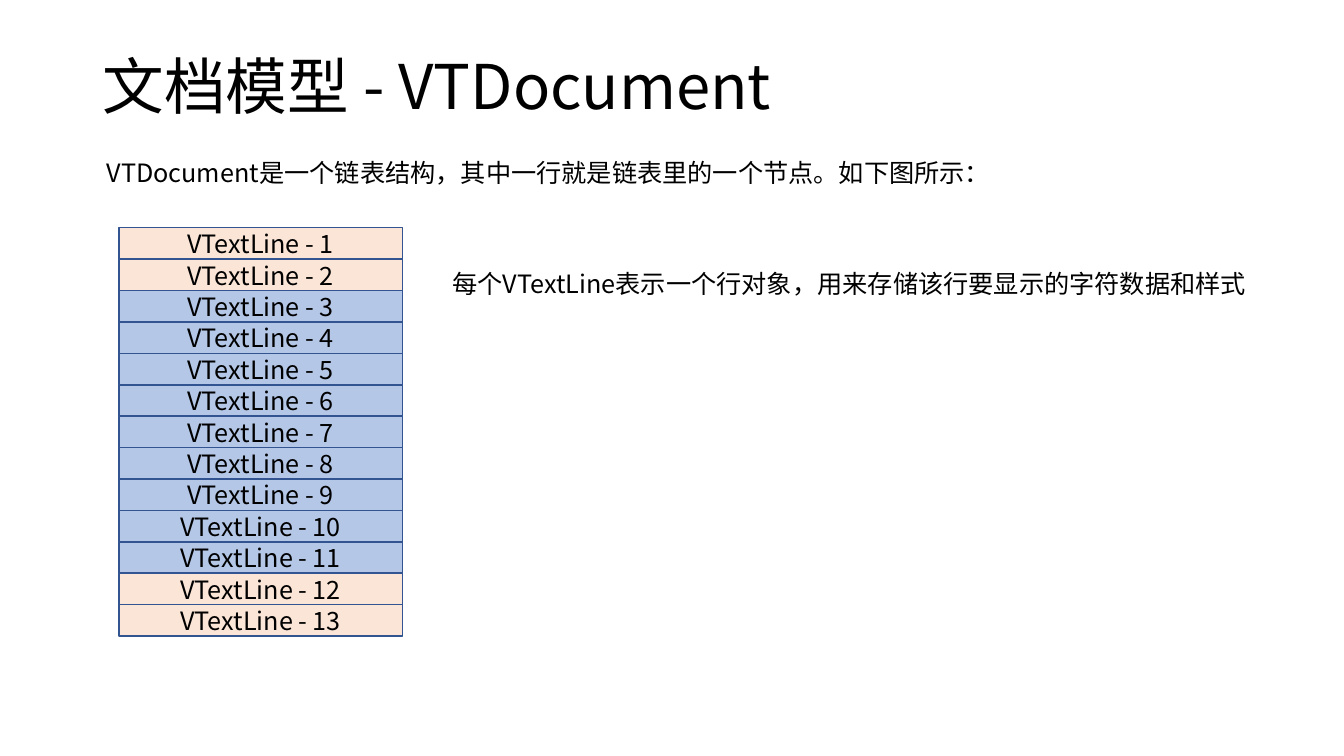
from dataclasses import dataclass

from lxml.etree import SubElement
from pptx import Presentation
from pptx.dml.color import RGBColor
from pptx.enum.shapes import MSO_SHAPE as Preset
from pptx.enum.text import MSO_ANCHOR as Anchor, MSO_AUTO_SIZE as AutoSize, PP_ALIGN as Align
from pptx.oxml.ns import qn
from pptx.util import Inches, Pt


@dataclass(frozen=True)
class Theme:
    font: str = "Noto Sans CJK SC"
    ink: str = "000000"
    outline: str = "325491"
    visible_line: str = "B4C7E7"
    hidden_line: str = "FBE5D6"
    title_size: int = 44
    body_size: int = 18
    outline_width: int = 1


THEME = Theme()
SLIDE_WIDTH, SLIDE_HEIGHT = Inches(13.33), Inches(7.5)

LINE_COUNT = 13
VISIBLE_LINES = range(3, 12)
STACK_LEFT, STACK_TOP = Inches(1.18), Inches(2.26)
STACK_WIDTH, STACK_HEIGHT = Inches(2.81), Inches(4.05)


def apply_format(target, values):
    for attribute, value in values.items():
        setattr(target, attribute, value)


def write_text(shape, text, size, frame_format, paragraph_format):
    """Fill the shape with one paragraph, using the theme font for Latin and CJK."""
    apply_format(shape.text_frame, frame_format)
    paragraph = shape.text_frame.paragraphs[0]
    apply_format(paragraph, paragraph_format)
    run = paragraph.add_run()
    run.text = text
    apply_format(run.font, {"size": Pt(size), "name": THEME.font})
    run.font.color.rgb = RGBColor.from_string(THEME.ink)
    SubElement(run.font._element, qn("a:ea"), typeface=THEME.font)


def add_title(slide, text):
    title = slide.shapes.add_textbox(Inches(0.92), Inches(0.16), Inches(11.5), Inches(1.45))
    write_text(title, text, THEME.title_size,
               {"vertical_anchor": Anchor.MIDDLE, "word_wrap": True},
               {"line_spacing": 0.9})


def add_note(slide, text, left, top, width, wraps):
    note = slide.shapes.add_textbox(left, top, width, Inches(0.4))
    write_text(note, text, THEME.body_size,
               {"word_wrap": wraps, "auto_size": AutoSize.SHAPE_TO_FIT_TEXT}, {})


def add_text_line(slide, number):
    """Draw one node of the linked list at its place in the stack."""
    pitch = STACK_HEIGHT / LINE_COUNT
    top = STACK_TOP + int((number - 1) * pitch)
    node = slide.shapes.add_shape(Preset.RECTANGLE, STACK_LEFT, top, STACK_WIDTH, int(pitch))
    node.shadow.inherit = False
    fill = THEME.visible_line if number in VISIBLE_LINES else THEME.hidden_line
    node.fill.solid()
    node.fill.fore_color.rgb = RGBColor.from_string(fill)
    node.line.color.rgb = RGBColor.from_string(THEME.outline)
    node.line.width = Pt(THEME.outline_width)
    write_text(node, f"VTextLine - {number}", THEME.body_size,
               {"vertical_anchor": Anchor.MIDDLE, "word_wrap": True},
               {"alignment": Align.CENTER})


def main():
    deck = Presentation()
    apply_format(deck, {"slide_width": SLIDE_WIDTH, "slide_height": SLIDE_HEIGHT})
    slide = deck.slides.add_slide(deck.slide_layouts[6])

    add_title(slide, "文档模型 - VTDocument")
    for number in range(1, LINE_COUNT + 1):
        add_text_line(slide, number)
    add_note(slide, "VTDocument是一个链表结构，其中一行就是链表里的一个节点。如下图所示：",
             Inches(0.96), Inches(1.51), Inches(8.94), wraps=False)
    add_note(slide, "每个VTextLine表示一个行对象，用来存储该行要显示的字符数据和样式",
             Inches(4.39), Inches(2.61), Inches(8.07), wraps=True)

    deck.save("out.pptx")


if __name__ == "__main__":
    main()
